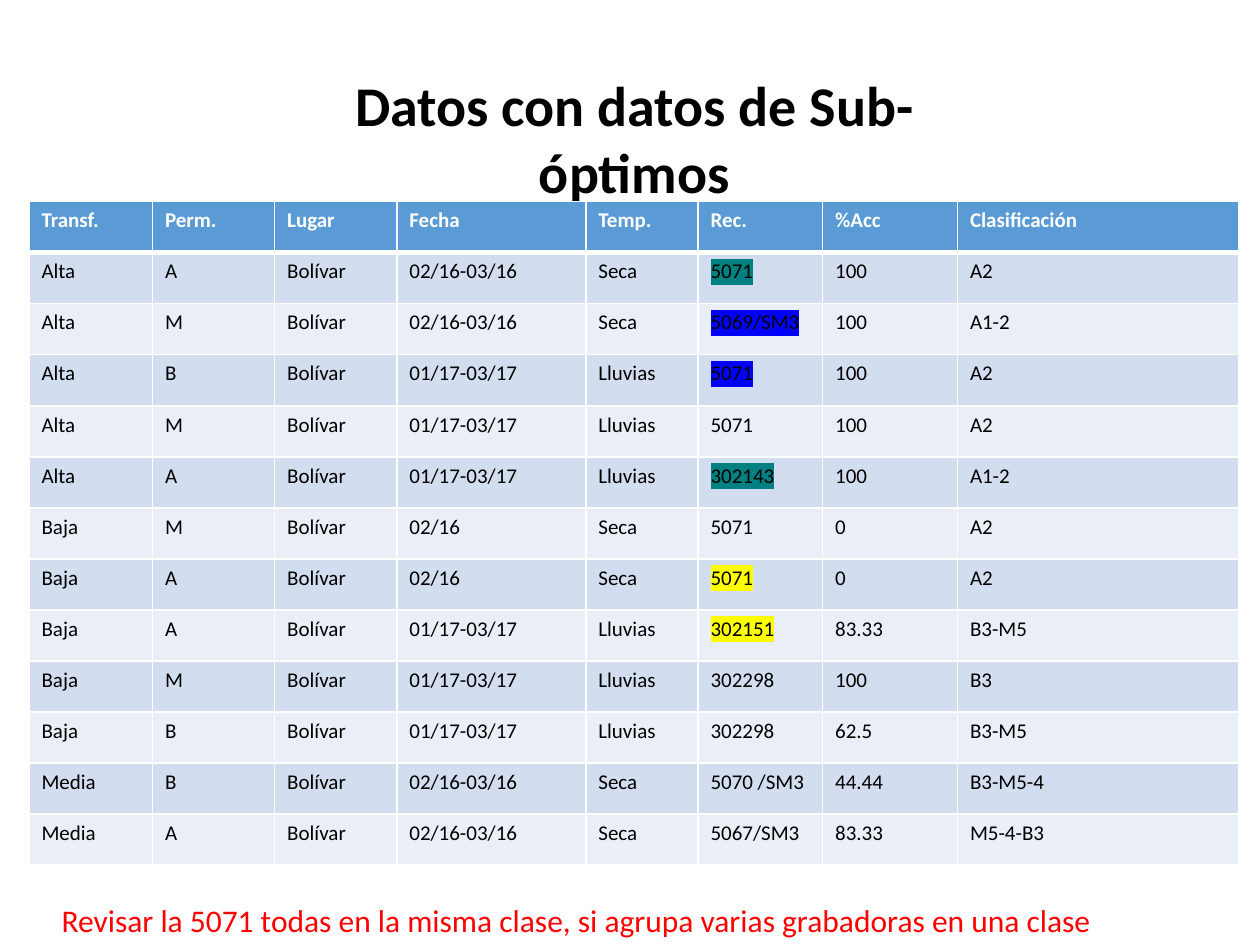
from lxml.etree import SubElement
from pptx import Presentation
from pptx.dml.color import RGBColor
from pptx.enum.text import MSO_AUTO_SIZE, PP_ALIGN
from pptx.oxml.ns import qn
from pptx.util import Inches, Pt

HEADINGS = ["Transf.", "Perm.", "Lugar", "Fecha", "Temp.", "Rec.", "%Acc", "Clasificación"]
COLUMN_SHARES = [0.098, 0.097, 0.097, 0.15, 0.089, 0.099, 0.107, 0.223]
PLACE = "Bolívar"
RECORDINGS = [
    ("Alta", "A", PLACE, "02/16-03/16", "Seca", "5071", "100", "A2"),
    ("Alta", "M", PLACE, "02/16-03/16", "Seca", "5069/SM3", "100", "A1-2"),
    ("Alta", "B", PLACE, "01/17-03/17", "Lluvias", "5071", "100", "A2"),
    ("Alta", "M", PLACE, "01/17-03/17", "Lluvias", "5071", "100", "A2"),
    ("Alta", "A", PLACE, "01/17-03/17", "Lluvias", "302143", "100", "A1-2"),
    ("Baja", "M", PLACE, "02/16", "Seca", "5071", "0", "A2"),
    ("Baja", "A", PLACE, "02/16", "Seca", "5071", "0", "A2"),
    ("Baja", "A", PLACE, "01/17-03/17", "Lluvias", "302151", "83.33", "B3-M5"),
    ("Baja", "M", PLACE, "01/17-03/17", "Lluvias", "302298", "100", "B3"),
    ("Baja", "B", PLACE, "01/17-03/17", "Lluvias", "302298", "62.5", "B3-M5"),
    ("Media", "B", PLACE, "02/16-03/16", "Seca", "5070 /SM3", "44.44", "B3-M5-4"),
    ("Media", "A", PLACE, "02/16-03/16", "Seca", "5067/SM3", "83.33", "M5-4-B3"),
]
RECORDER_COLUMN = HEADINGS.index("Rec.")
TEAL, BLUE, YELLOW = "008080", "0000FF", "FFFF00"
RECORDER_MARKS = {1: TEAL, 2: BLUE, 3: BLUE, 5: TEAL, 7: YELLOW, 8: YELLOW}


def color(value):
    return RGBColor.from_string(value)


class SlideBuilder:
    font_name = "Calibri"
    ink, white, header_fill = "000000", "FFFFFF", "5B9BD5"
    band_fills = ("EAEFF7", "D2DEEF")

    def __init__(self, presentation):
        self.width = presentation.slide_width
        self.height = presentation.slide_height
        self.slide = presentation.slides.add_slide(presentation.slide_layouts[6])

    def frame(self, left, top, width, height):
        return (int(left * self.width), int(top * self.height),
                int(width * self.width), int(height * self.height))

    def set_words(self, text_frame, words, size, ink, bold=False, mark=None):
        text_frame.text = words
        run = text_frame.paragraphs[0].runs[0]
        run.font.size = Pt(size)
        run.font.bold = bold
        run.font.color.rgb = color(ink)
        run.font.name = self.font_name
        if mark:
            properties = run._r.get_or_add_rPr()
            highlight = SubElement(properties, qn("a:highlight"))
            SubElement(highlight, qn("a:srgbClr"), val=mark)
            properties.find(qn("a:solidFill")).addnext(highlight)

    def text(self, words, area, size, ink, bold=False, align=PP_ALIGN.LEFT, wrap=True):
        text_frame = self.slide.shapes.add_textbox(*self.frame(*area)).text_frame
        text_frame.word_wrap = wrap
        text_frame.auto_size = MSO_AUTO_SIZE.SHAPE_TO_FIT_TEXT
        self.set_words(text_frame, words, size, ink, bold)
        text_frame.paragraphs[0].alignment = align

    def border(self, cell, top, bottom):
        properties = cell._tc.get_or_add_tcPr()
        for side, points in (("L", 1), ("R", 1), ("T", top), ("B", bottom)):
            line = SubElement(properties, qn(f"a:ln{side}"), w=str(int(Pt(points))))
            fill = SubElement(line, qn("a:solidFill"))
            SubElement(fill, qn("a:srgbClr"), val=self.white)

    def table(self, rows, column_shares, area, marks):
        place = self.frame(*area)
        table = self.slide.shapes.add_table(len(rows), len(column_shares), *place).table
        table.horz_banding = False
        for column, share in zip(table.columns, column_shares):
            column.width = int(share * self.width)
        for r, values in enumerate(rows):
            is_header = r == 0
            for c, value in enumerate(values):
                cell = table.cell(r, c)
                self.border(cell, 3 if r == 1 else 1, 3 if is_header else 1)
                cell.fill.solid()
                cell.fill.fore_color.rgb = color(
                    self.header_fill if is_header else self.band_fills[r % 2])
                self.set_words(cell.text_frame, value, 12,
                               self.white if is_header else self.ink,
                               is_header, marks.get((r, c)))


def main():
    presentation = Presentation()
    presentation.slide_width = Inches(10)
    presentation.slide_height = Inches(7.5)
    builder = SlideBuilder(presentation)
    builder.text("Datos con datos de Sub-óptimos", (0.249, 0.51 / 7.5, 0.509, 1.18 / 7.5),
                 32, builder.ink, bold=True, align=PP_ALIGN.CENTER)
    marks = {(row, RECORDER_COLUMN): mark for row, mark in RECORDER_MARKS.items()}
    builder.table([HEADINGS] + RECORDINGS, COLUMN_SHARES,
                  (0.023, 1.6 / 7.5, 0.96, 5.27 / 7.5), marks)
    builder.text("Revisar la 5071 todas en la misma clase, si agrupa varias grabadoras en una clase",
                 (0.039, 7.1 / 7.5, 0.852, 0.4 / 7.5), 18, "FF0000", wrap=False)
    presentation.save("out.pptx")


if __name__ == "__main__":
    main()
